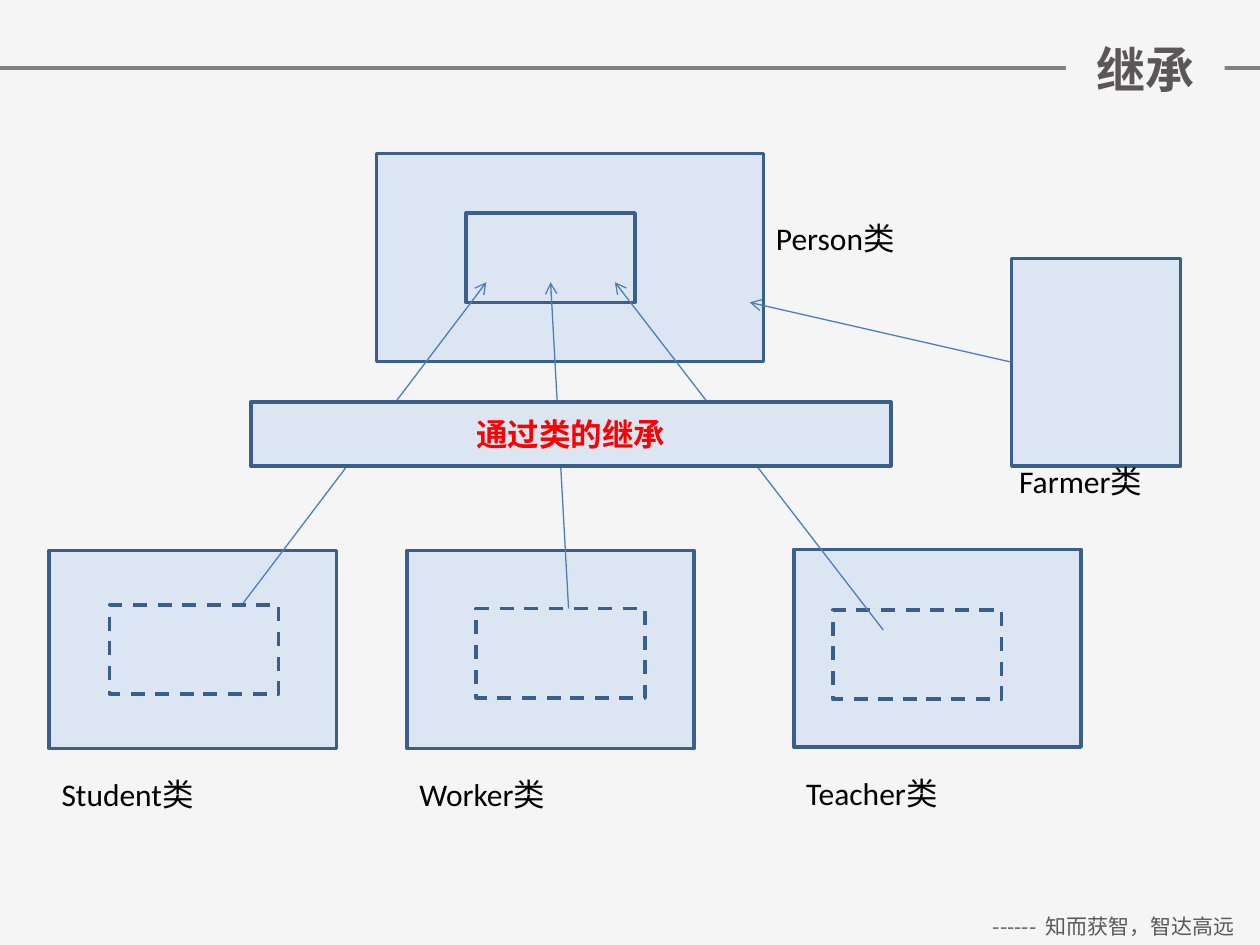
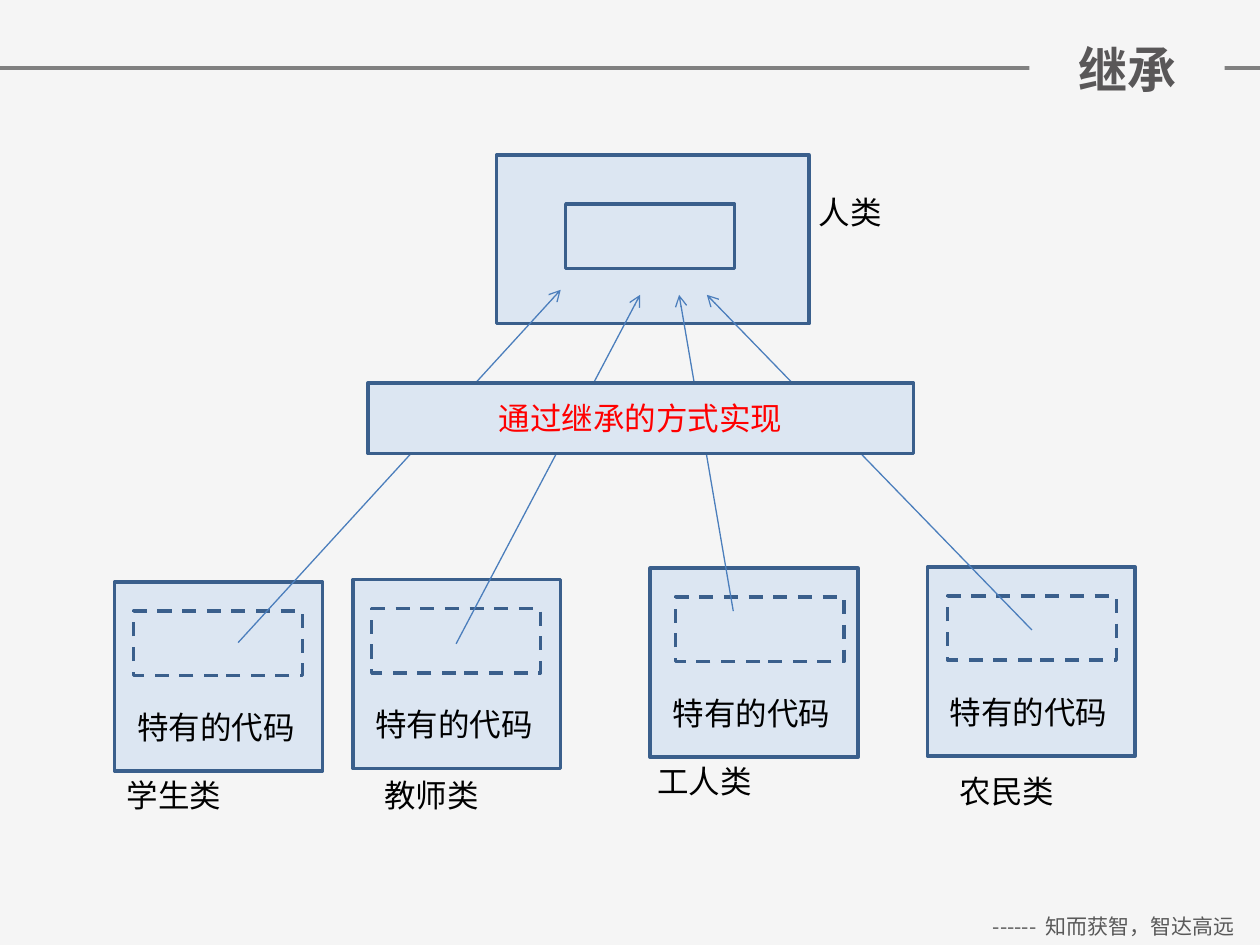
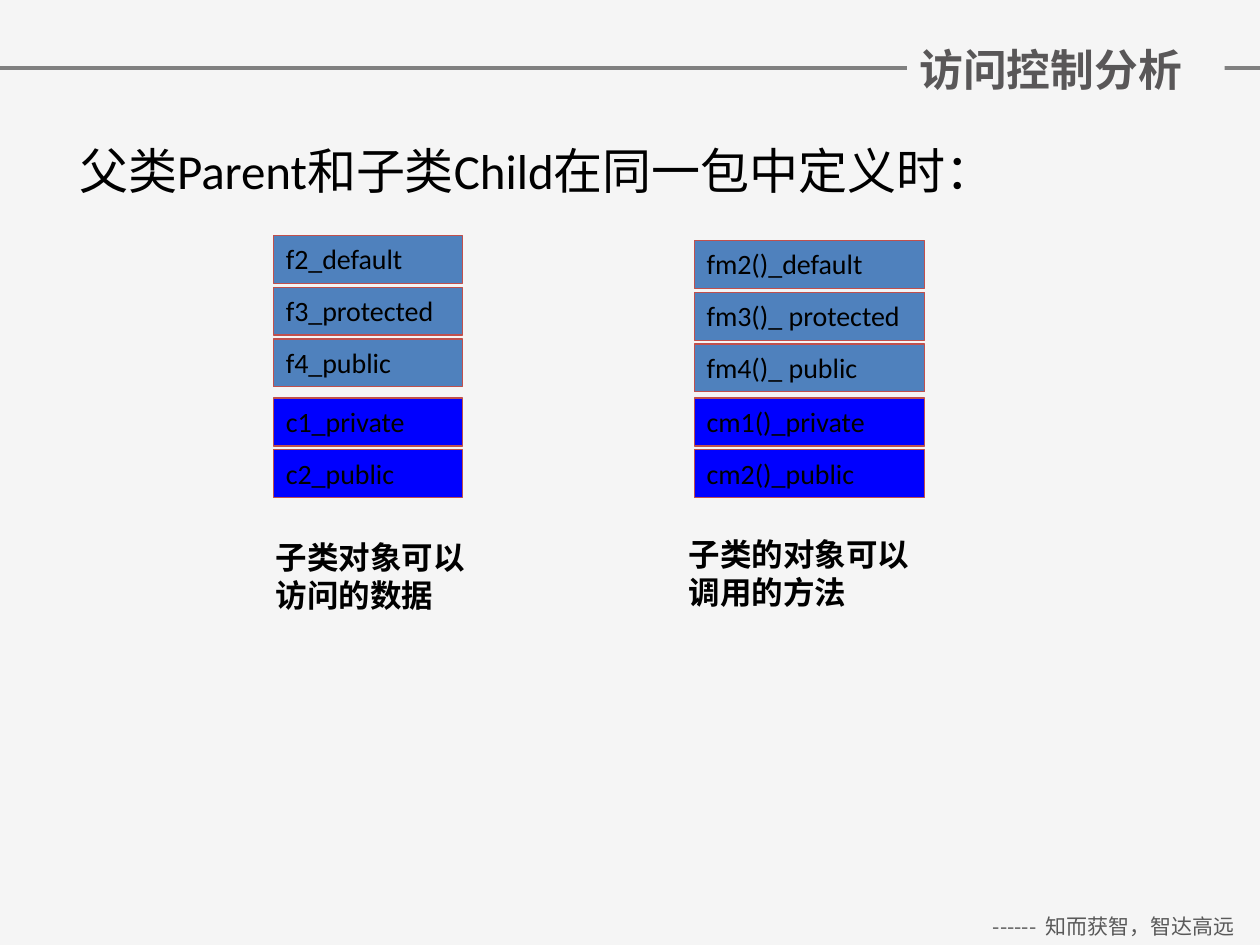
from dataclasses import dataclass

from lxml.etree import SubElement
from pptx import Presentation
from pptx.dml.color import RGBColor
from pptx.enum.dml import MSO_LINE_DASH_STYLE as Dash
from pptx.enum.shapes import MSO_CONNECTOR, MSO_SHAPE
from pptx.enum.text import MSO_ANCHOR as Anchor, PP_ALIGN as Align
from pptx.oxml.ns import qn
from pptx.util import Inches, Pt

BACKGROUND = RGBColor(0xF5, 0xF5, 0xF5)
RULE_GRAY = RGBColor(0x80, 0x80, 0x80)
FOOTER_GRAY = RGBColor(0x59, 0x59, 0x59)
TITLE_GRAY = RGBColor(0x59, 0x57, 0x58)
BLACK = RGBColor(0, 0, 0)
RED = RGBColor(0xFF, 0, 0)
CLASS_FILL = RGBColor(0xDC, 0xE6, 0xF2)
CLASS_LINE = RGBColor(0x3A, 0x5F, 0x8C)
ARROW_BLUE = RGBColor(0x4B, 0x7E, 0xBC)
INHERITED_FILL = RGBColor(0x4F, 0x81, 0xBD)
OWN_FILL = RGBColor(0, 0, 0xFF)
MEMBER_LINE = RGBColor(0xC0, 0x50, 0x4D)

LATIN_FONT = "Calibri"
CJK_FONT = "Noto Sans CJK SC"
LABEL_HEIGHT = 0.4


@dataclass
class Box:
    left: float
    top: float
    width: float
    height: float

    def inner(self, dx, dy, width, height):
        """A box placed from this box's top left corner."""
        return Box(self.left + dx, self.top + dy, width, height)

    def lengths(self):
        return [Inches(n) for n in (self.left, self.top, self.width, self.height)]


def write(frame, text, size=18, color=BLACK, bold=False, align=Align.LEFT,
          anchor=Anchor.TOP, font=LATIN_FONT):
    frame.word_wrap = True
    frame.vertical_anchor = anchor
    para = frame.paragraphs[0]
    para.alignment = align
    span = para.add_run()
    span.text = text
    span.font.size = Pt(size)
    span.font.bold = bold
    span.font.color.rgb = color
    span.font.name = font
    SubElement(span.font._element, qn("a:ea")).set("typeface", CJK_FONT)


def add_text(page, box, text, **style):
    shape = page.shapes.add_textbox(*box.lengths())
    write(shape.text_frame, text, **style)
    return shape


def add_rect(page, box, fill=CLASS_FILL, line=CLASS_LINE, width=2, dashed=False):
    shape = page.shapes.add_shape(MSO_SHAPE.RECTANGLE, *box.lengths())
    shape.shadow.inherit = False
    shape.fill.solid()
    shape.fill.fore_color.rgb = fill
    shape.line.color.rgb = line
    shape.line.width = Pt(width)
    if dashed:
        shape.line.dash_style = Dash.DASH
    return shape


def add_line(page, start, end, color=ARROW_BLUE, width=0.75, arrow=True):
    line = page.shapes.add_connector(
        MSO_CONNECTOR.STRAIGHT, *[Inches(n) for n in (*start, *end)])
    line.line.color.rgb = color
    line.line.width = Pt(width)
    if arrow:
        SubElement(line.line._get_or_add_ln(), qn("a:tailEnd")).set("type", "arrow")
    SubElement(line._element.spPr, qn("a:effectLst"))
    return line


def add_page(deck, title, title_left, size=28, align=Align.CENTER):
    """A page with the shared background, rule, footer and title."""
    page = deck.slides.add_slide(deck.slide_layouts[6])
    page.background.fill.solid()
    page.background.fill.fore_color.rgb = BACKGROUND
    add_line(page, (0, 0.54), (10, 0.54), RULE_GRAY, 2, arrow=False)
    add_text(page, Box(7.68, 7.2, 2.32, 0.3), "------  知而获智，智达高远", size=12,
             color=FOOTER_GRAY, align=Align.CENTER, font=CJK_FONT)
    heading = add_text(page, Box(title_left, 0.26, 9.72 - title_left, 0.57), title,
                       size=size, color=TITLE_GRAY, bold=True, align=align,
                       anchor=Anchor.MIDDLE, font=CJK_FONT)
    heading.fill.solid()
    heading.fill.fore_color.rgb = BACKGROUND
    return page


def add_band(page, box, text, bold=False):
    write(add_rect(page, box).text_frame, text, color=RED, bold=bold,
          align=Align.CENTER, anchor=Anchor.MIDDLE)


def add_parent(page, box, part, label, label_at):
    """The base class, the part it shares, and its label."""
    add_rect(page, box)
    add_rect(page, part)
    add_text(page, box.inner(*label_at, 1.97, LABEL_HEIGHT), label)


def add_person_page(deck):
    page = add_page(deck, "继承", 8.46)
    add_parent(page, Box(2.99, 1.22, 3.07, 1.65), Box(3.7, 1.69, 1.34, 0.71),
               "Person类", (3.07, 0.47))

    student = Box(0.39, 4.37, 2.28, 1.57)
    worker = Box(3.23, 4.37, 2.28, 1.57)
    teacher = Box(6.3, 4.36, 2.28, 1.57)
    for box, label in ((student, "Student类"), (worker, "Worker类"),
                       (teacher, "Teacher类")):
        add_rect(page, box)
        add_text(page, box.inner(0, 1.73, box.width, LABEL_HEIGHT), label)

    def add_inherited(box, dx, dy):
        add_rect(page, box.inner(dx, dy, 1.34, 0.71), dashed=True)

    add_inherited(teacher, 0.31, 0.48)
    for start, end_x in (((1.89, 4.84), 3.86), ((4.53, 5.15), 4.37),
                         ((7.01, 5), 4.88)):
        add_line(page, start, (end_x, 2.24))
    add_inherited(worker, 0.55, 0.46)
    add_inherited(student, 0.48, 0.43)
    add_band(page, Box(1.99, 3.19, 5.08, 0.51), "通过类的继承", bold=True)

    farmer_box = Box(8.03, 2.05, 1.34, 1.65)
    farmer = add_rect(page, farmer_box)
    add_text(page, farmer_box.inner(-0.04, 1.57, 1.5, LABEL_HEIGHT), "Farmer类")
    add_line(page, (8.03, 2.87), (5.95, 2.4)).begin_connect(farmer, 1)


def add_child(page, box, part_dx, label, label_at):
    """A subclass with its inherited part, its own code and its label."""
    add_rect(page, box)
    add_rect(page, box.inner(part_dx, 0.23, 1.34, 0.51), dashed=True)
    add_text(page, box.inner(0.08, 0.95, 1.5, LABEL_HEIGHT), "特有的代码")
    add_text(page, box.inner(*label_at, 1.97, LABEL_HEIGHT), label)


def add_human_page(deck):
    page = add_page(deck, "继承", 8.17)
    children = (
        (0.91, 4.62, 0.15, "学生类", (0, 1.49), (1.89, 5.1), (4.45, 2.3)),
        (2.8, 4.6, 0.15, "教师类", (0.15, 1.51), (3.62, 5.11), (5.08, 2.34)),
        (5.16, 4.51, 0.2, "工人类", (-0.04, 1.49), (5.82, 4.85), (5.39, 2.34)),
        (7.36, 4.5, 0.16, "农民类", (0.16, 1.58), (8.19, 5), (5.61, 2.34)),
    )
    add_parent(page, Box(3.94, 1.23, 2.48, 1.34), Box(4.49, 1.62, 1.34, 0.51),
               "人类", (2.46, 0.25))
    for left, top, part_dx, label, label_at, start, end in children:
        add_child(page, Box(left, top, 1.65, 1.5), part_dx, label, label_at)
        add_line(page, start, end)
    add_band(page, Box(2.92, 3.04, 4.33, 0.56), "通过继承的方式实现")


def add_members(page, box, names, fill):
    """Stack member boxes downwards, starting with the given box."""
    for row, name in enumerate(names):
        shape = add_rect(page, box.inner(0, row * 0.41, box.width, box.height),
                         fill, MEMBER_LINE, 0.75)
        write(shape.text_frame, name, size=16, align=Align.JUSTIFY)


def add_access_page(deck):
    page = add_page(deck, "访问控制分析", 7.2, size=25, align=Align.LEFT)
    add_text(page, Box(0.53, 1.07, 8.65, 0.57),
             "父类Parent和子类Child在同一包中定义时：", size=28)
    columns = (
        (Box(2.17, 1.87, 1.5, 0.38), ("f2_default", "f3_protected", "f4_public"),
         ("c1_private", "c2_public"),
         Box(2.09, 4.22, 1.83, 0.7), "子类对象可以访问的数据"),
        (Box(5.51, 1.91, 1.83, 0.38),
         ("fm2()_default", "fm3()_ protected", "fm4()_ public"),
         ("cm1()_private", "cm2()_public"),
         Box(5.37, 4.2, 2.1, 0.7), "子类的对象可以调用的方法"),
    )
    for box, inherited, own, caption_box, caption in columns:
        add_members(page, box, inherited, INHERITED_FILL)
        add_members(page, Box(box.left, 3.16, box.width, box.height), own, OWN_FILL)
        add_text(page, caption_box, caption, bold=True)


def main():
    deck = Presentation()
    deck.slide_width, deck.slide_height = Inches(10), Inches(7.5)
    add_person_page(deck)
    add_human_page(deck)
    add_access_page(deck)
    deck.save("out.pptx")


if __name__ == "__main__":
    main()
